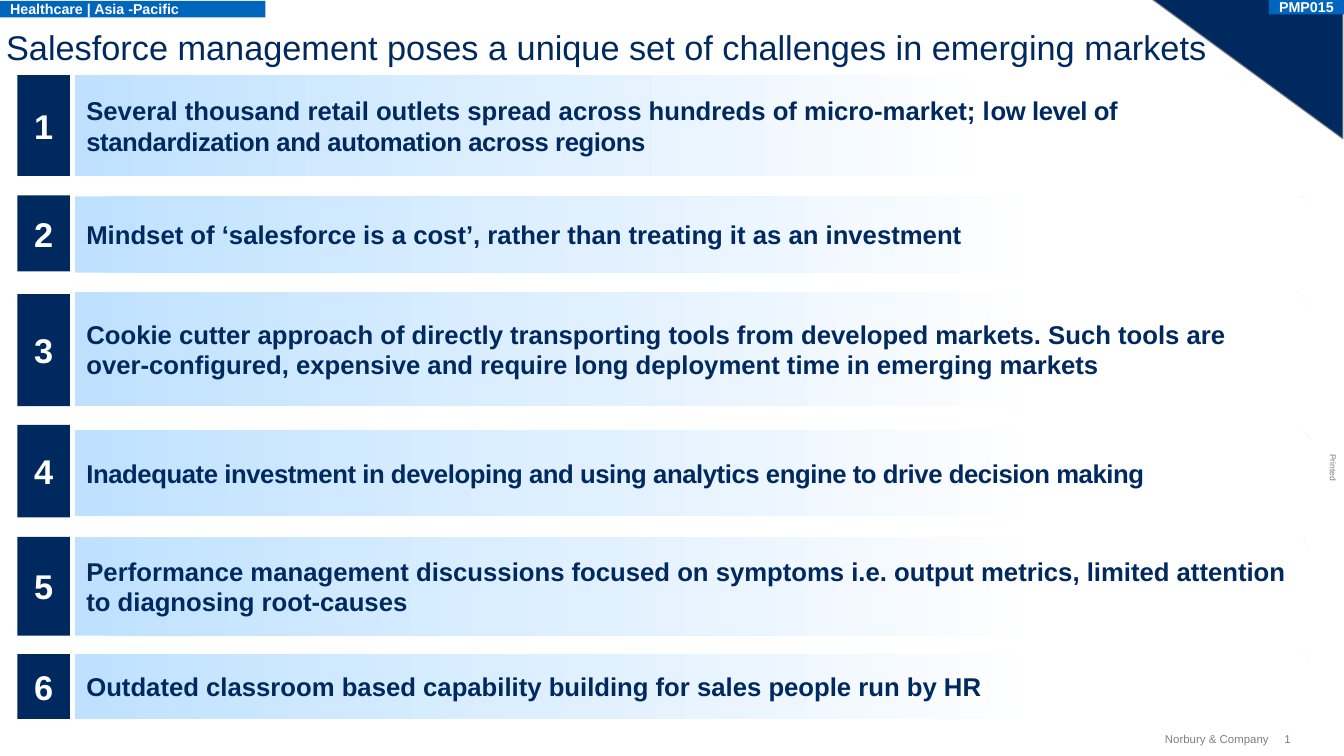
from dataclasses import dataclass

from pptx import Presentation
from pptx.dml.color import RGBColor as RGB
from pptx.enum.shapes import MSO_SHAPE as SHAPE
from pptx.enum.text import MSO_ANCHOR as ANCHOR, MSO_AUTO_SIZE as AUTO, PP_ALIGN as ALIGN
from pptx.util import Emu, Pt


@dataclass(frozen=True)
class Theme:
    font: str = "Arial"
    navy: RGB = RGB(0x00, 0x29, 0x60)
    blue: RGB = RGB(0x00, 0x65, 0xBD)
    pale: RGB = RGB(0xBF, 0xE1, 0xFF)
    white: RGB = RGB(0xFF, 0xFF, 0xFF)
    gray: RGB = RGB(0x80, 0x80, 0x80)
    title: int = 24
    number: int = 24
    body: int = 18
    tag: int = 10
    footer: int = 8
    printed: int = 6


T = Theme()
PX = 9144
WIDTH, HEIGHT = 1307, 735
TIGHT = "-30"

CHALLENGES = [
    ((73, 98), (73, 98), 1136,
     ["Several thousand retail outlets spread across hundreds of micro-market; l",
      "ow level of standardization and automation across regions"], [False, True]),
    ((190, 74), (191, 74), 1201,
     ["Mindset of ‘salesforce is a cost’, rather than treating it as an investment"], [False]),
    ((286, 109), (284, 111), 1201,
     ["Cookie cutter approach of directly transporting tools from developed markets. "
      "Such tools are over-configured, expensive and require long deployment time "
      "in emerging markets"], [False]),
    ((413, 90), (418, 84), 1201,
     ["Inadequate investment in developing and using analytics engine "
      "to drive decision making"], [True]),
    ((522, 96), (522, 96), 1201,
     ["Performance management discussions focused on symptoms i.e. output metrics, "
      "limited attention to diagnosing root-causes"], [False]),
    ((636, 63), (636, 63), 1201,
     ["Outdated classroom based capability building for sales people run by HR"], [False]),
]


def px(*lengths):
    return [Emu(n * PX) for n in lengths]


def set_frame(tf, margins, anchor=ANCHOR.MIDDLE, wrap=True):
    tf.auto_size = AUTO.NONE
    tf.word_wrap = wrap
    tf.vertical_anchor = anchor
    x, y = px(*margins)
    tf.margin_left = tf.margin_right = x
    tf.margin_top = tf.margin_bottom = y


def write(tf, texts, size, color, bold=False, align=ALIGN.LEFT):
    p = tf.paragraphs[0]
    p.alignment = align
    for text in texts:
        r = p.add_run()
        r.text = text
        r.font.name = T.font
        r.font.size = Pt(size)
        r.font.bold = bold
        r.font.color.rgb = color
    return p.runs


def add_box(slide, kind, box, fill=None):
    sp = slide.shapes.add_shape(kind, *px(*box))
    sp.shadow.inherit = False
    sp.line.fill.background()
    if fill is not None:
        sp.fill.solid()
        sp.fill.fore_color.rgb = fill
    return sp


def add_title(slide, box, text):
    title = slide.shapes.title
    title.left, title.top, title.width, title.height = px(*box)
    set_frame(title.text_frame, (0, 0), ANCHOR.TOP)
    write(title.text_frame, [text], T.title, T.navy)


def add_challenge(slide, left, number, number_span, bar_span, bar_width, texts, tight):
    top, height = bar_span
    bar = add_box(slide, SHAPE.ROUND_1_RECTANGLE, (left + 56, top, bar_width, height))
    bar.fill.gradient()
    bar.fill.gradient_angle = 0
    for stop, position, color in zip(bar.fill.gradient_stops, (0, 0.79), (T.pale, T.white)):
        stop.position = position
        stop.color.rgb = color
    set_frame(bar.text_frame, (11, 6))
    for r, is_tight in zip(write(bar.text_frame, texts, T.body, T.navy, True), tight):
        if is_tight:
            r._r.get_or_add_rPr().set("spc", TIGHT)

    top, height = number_span
    sp = add_box(slide, SHAPE.RECTANGLE, (left, top, 51, height), T.navy)
    set_frame(sp.text_frame, (11, 6))
    write(sp.text_frame, [str(number)], T.number, T.white, True, ALIGN.CENTER)


def add_corner(slide, box):
    sp = add_box(slide, SHAPE.RIGHT_TRIANGLE, box, T.navy)
    sp.rotation = 180
    sp.line.color.rgb = T.gray
    sp.line.width = Pt(0.75)


def add_tag(slide, box, text, align):
    sp = add_box(slide, SHAPE.RECTANGLE, box, T.blue)
    set_frame(sp.text_frame, (10, 5), wrap=False)
    write(sp.text_frame, [text], T.tag, T.white, True, align)


def add_note(slide, box, text, size, align=ALIGN.LEFT, rotation=0):
    sp = slide.shapes.add_textbox(*px(*box))
    sp.rotation = rotation
    set_frame(sp.text_frame, (0, 0), wrap=False)
    write(sp.text_frame, [text], size, T.gray, align=align)


def main():
    prs = Presentation()
    prs.slide_width, prs.slide_height = px(WIDTH, HEIGHT)
    slide = prs.slides.add_slide(prs.slide_layouts[5])

    add_corner(slide, (1120, -1, 186, 136))
    add_note(slide, (1283, 450, 27, 10), "Printed", T.printed, rotation=90)
    add_note(slide, (1249, 712, 14, 13), "1", T.footer)
    add_note(slide, (1123, 712, 111, 13), "Norbury & Company", T.footer, ALIGN.RIGHT)
    add_title(slide, (6, 25, 1257, 40),
              "Salesforce management poses a unique set of challenges in emerging markets")
    for number, challenge in enumerate(CHALLENGES, 1):
        add_challenge(slide, 17, number, *challenge)
    add_tag(slide, (1234, 0, 73, 14), "PMP015", ALIGN.CENTER)
    add_tag(slide, (0, 1, 258, 16), "Healthcare | Asia -Pacific", ALIGN.LEFT)

    prs.save("out.pptx")


if __name__ == "__main__":
    main()
